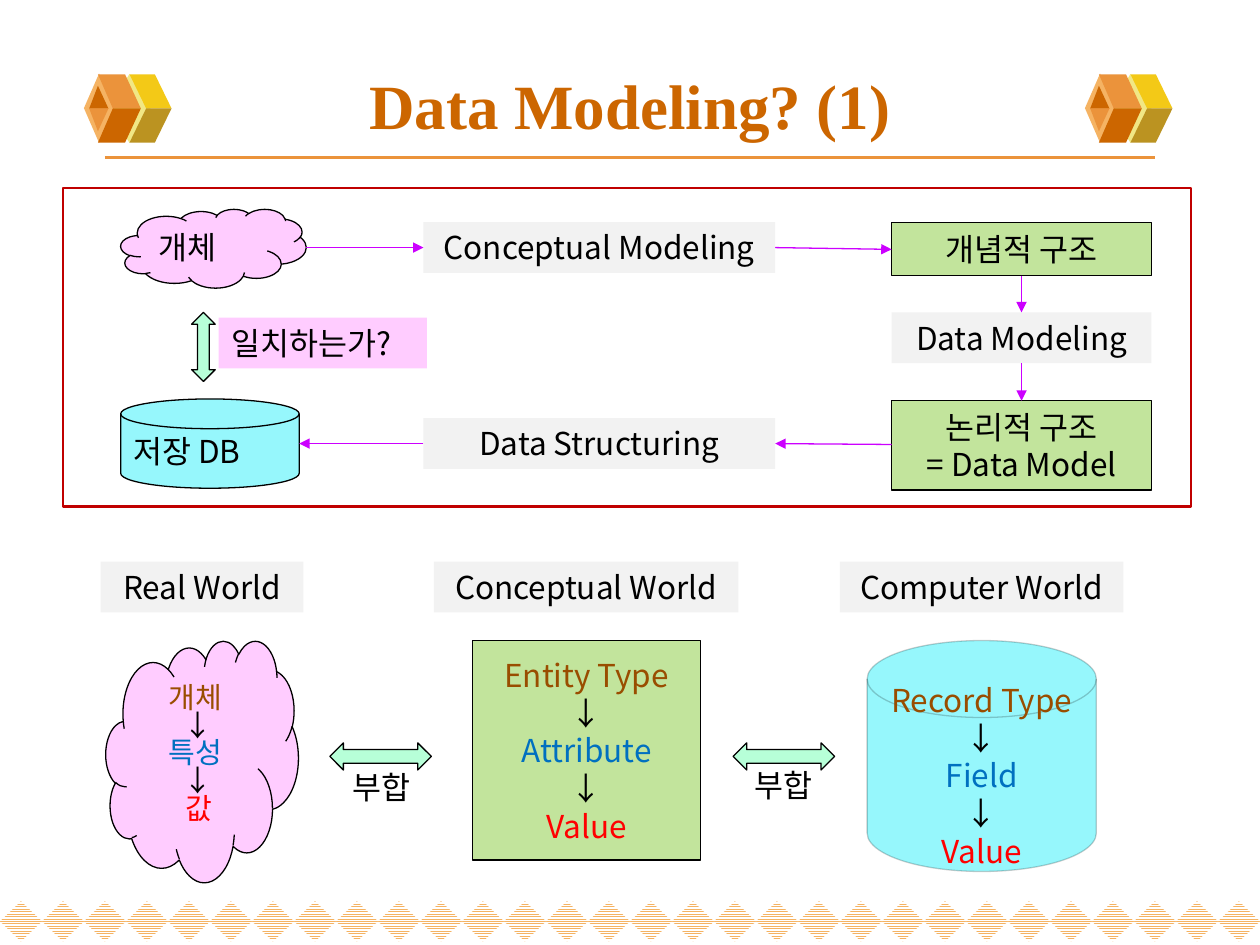
from dataclasses import dataclass
from typing import Optional

from lxml import etree
from pptx import Presentation
from pptx.dml.color import RGBColor
from pptx.enum import dml, shapes, text
from pptx.oxml import ns
from pptx.util import Pt

KIND = shapes.MSO_SHAPE
LEFT, CENTER = text.PP_ALIGN.LEFT, text.PP_ALIGN.CENTER
TOP, MIDDLE = text.MSO_ANCHOR.TOP, text.MSO_ANCHOR.MIDDLE


@dataclass(frozen=True)
class Theme:
    title_font: str = "Times New Roman"
    body_font: str = "Noto Sans CJK KR"
    title_size: float = 36
    body_size: float = 18
    cloud_size: float = 16.6
    black: str = "000000"
    brown: str = "994D00"
    blue: str = "0070C0"
    red: str = "FF0000"
    frame: str = "C00000"
    pink: str = "FFCCFF"
    green: str = "C2E49C"
    cyan: str = "96F7FC"
    mint: str = "B7FFD8"
    gray: str = "F2F2F2"
    flow: str = "CC00FF"
    amber: str = "F5B363"
    orange: str = "EB933B"
    rust: str = "CC6600"
    cream: str = "F1E785"
    yellow: str = "F3C917"
    olive: str = "BB9321"


THEME = Theme()
LEVELS = (THEME.brown, THEME.black, THEME.blue, THEME.black, THEME.red)


@dataclass(frozen=True)
class Node:
    kind: int
    box: tuple[float, float, float, float]
    fill: Optional[str] = None
    lines: tuple[str, ...] = ()
    colors: tuple[str, ...] = (THEME.black,) * 2
    edge: Optional[str] = THEME.black
    edge_width: float = 0.75
    edge_alpha: int = 100
    align: int = CENTER
    anchor: int = MIDDLE
    size: float = THEME.body_size
    spacing: float = 1.0
    font: str = THEME.body_font
    bold: bool = False


@dataclass(frozen=True)
class Facet:
    xs: tuple[float, ...]
    heights: tuple[float, ...]
    upper: str
    lower: str


def rgb(value: str) -> RGBColor:
    return RGBColor.from_string(value)


def assign(target, values: dict) -> None:
    for key, value in values.items():
        setattr(target, key, value)


def write(shape, node: Node) -> None:
    frame = shape.text_frame
    assign(frame, dict(word_wrap=True, vertical_anchor=node.anchor,
                       margin_left=Pt(7.2), margin_right=Pt(7.2),
                       margin_top=Pt(3.6), margin_bottom=Pt(3.6)))
    for index, (line, color) in enumerate(zip(node.lines, node.colors)):
        paragraph = frame.add_paragraph() if index else frame.paragraphs[0]
        assign(paragraph, dict(alignment=node.align, line_spacing=node.spacing))
        run = paragraph.add_run()
        run.text = line
        assign(run.font, dict(size=Pt(node.size), name=node.font, bold=node.bold))
        run.font.color.rgb = rgb(color)
        etree.SubElement(run.font._element, ns.qn("a:ea"), typeface=node.font)


def draw(slide, node: Node):
    shape = slide.shapes.add_shape(node.kind, *map(Pt, node.box))
    shape.shadow.inherit = False
    if node.fill:
        shape.fill.solid()
        shape.fill.fore_color.rgb = rgb(node.fill)
    else:
        shape.fill.background()
    if node.edge:
        shape.line.width = Pt(node.edge_width)
        shape.line.color.rgb = rgb(node.edge)
        if node.edge_alpha < 100:
            color = shape._element.spPr.find(".//" + ns.qn("a:ln") + "//" + ns.qn("a:srgbClr"))
            etree.SubElement(color, ns.qn("a:alpha"), val=str(node.edge_alpha * 1000))
    else:
        shape.line.fill.background()
    write(shape, node)
    return shape


def connect(slide, ends: tuple, color: str, width: float, arrow: bool) -> None:
    line = slide.shapes.add_connector(shapes.MSO_CONNECTOR.STRAIGHT, *map(Pt, ends))
    line.line.width = Pt(width)
    line.line.color.rgb = rgb(color)
    properties = line._element.spPr
    if arrow:
        etree.SubElement(properties.find(ns.qn("a:ln")), ns.qn("a:tailEnd"), type="triangle")
    etree.SubElement(properties, ns.qn("a:effectLst"))


def draw_facet(slide, facet: Facet, offset: float, axis: float) -> None:
    for side, color in ((-1, facet.upper), (1, facet.lower)):
        corners = [(Pt(x + offset), Pt(axis + side * h))
                   for x, h in zip(facet.xs, facet.heights)]
        builder = slide.shapes.build_freeform(*corners[0], scale=1.0)
        builder.add_line_segments(corners[1:], close=True)
        face = builder.convert_to_shape()
        face.shadow.inherit = False
        face.fill.solid()
        face.fill.fore_color.rgb = rgb(color)
        face.line.fill.background()


def draw_cube(slide, offset: float) -> None:
    axis = 62
    slab = (0, 0, 19.5, 19.5)
    draw(slide, Node(KIND.DIAMOND, (62 + offset, 42.3, 24, 39.4), THEME.cream, edge=None))
    draw_facet(slide, Facet((83.5, 98, 88.5, 74), slab, THEME.yellow, THEME.olive), offset, axis)
    draw(slide, Node(KIND.DIAMOND, (48 + offset, 42, 17.3, 39.6), THEME.amber, edge=None))
    draw_facet(slide, Facet((64.5, 80.5, 71.5, 56), slab, THEME.orange, THEME.rust), offset, axis)
    draw_facet(slide, Facet((56, 51, 62), (13, 0, 0), THEME.rust, THEME.orange), offset, axis)


def draw_border(slide) -> None:
    pitch = 24
    for column in range(30):
        diamond = draw(slide, Node(KIND.DIAMOND, (column * pitch, 515, pitch, 23), edge=None))
        diamond.fill.patterned()
        diamond.fill.pattern = dml.MSO_PATTERN.NARROW_HORIZONTAL
        diamond.fill.fore_color.rgb = rgb(THEME.amber)
        diamond.fill.back_color.rgb = rgb("FFFFFF")


def label(caption: str, x: float, y: float, width: float,
          fill: Optional[str] = THEME.gray, align: int = CENTER) -> Node:
    return Node(KIND.RECTANGLE, (x, y, width, 29), fill, (caption,),
                edge=None, anchor=TOP, align=align)


TITLE = Node(KIND.RECTANGLE, (36, 29, 648, 61), None, ("Data Modeling? (1)",), (THEME.rust,),
             edge=None, size=THEME.title_size, font=THEME.title_font, bold=True)
WORLDS = (
    Node(KIND.CLOUD, (60.5, 366, 110, 138), THEME.pink, ("개체", " ↓", "특성", " ↓", " 값"),
         LEVELS, size=THEME.cloud_size, spacing=0.8),
    Node(KIND.RECTANGLE, (270, 366, 130.5, 125.5), THEME.green,
         ("Entity Type", "↓", "Attribute", "↓", "Value"), LEVELS),
    Node(KIND.FLOWCHART_MAGNETIC_DISK, (495.5, 366, 131, 132), THEME.cyan,
         ("Record Type", "↓", "Field", "↓", "Value"), LEVELS, edge_alpha=20),
    Node(KIND.LEFT_RIGHT_ARROW, (188.5, 424.5, 58, 15.5), THEME.mint),
    Node(KIND.LEFT_RIGHT_ARROW, (419, 424.5, 58, 15.5), THEME.mint),
    label("Real World", 57.5, 321, 116),
    label("Conceptual World", 248, 321, 174),
    label("Computer World", 480, 321, 162),
    label("부합", 191, 435.5, 54, None),
    label("부합", 420.5, 434, 54, None),
)
PROCESS = (
    Node(KIND.CLOUD, (69, 119.5, 106, 45), THEME.pink, ("개체",), align=LEFT),
    label("Conceptual Modeling", 242, 127, 201),
    Node(KIND.RECTANGLE, (509.5, 127, 148.5, 30.5), THEME.green, ("개념적 구조",)),
    Node(KIND.RECTANGLE, (509.5, 229, 148.5, 51), THEME.green, ("논리적 구조", "= Data Model")),
    Node(KIND.FLOWCHART_MAGNETIC_DISK, (69, 228, 102, 51), THEME.cyan, ("저장 DB",), align=LEFT),
    label("Data Structuring", 242, 239, 201),
    label("Data Modeling", 509.5, 178.5, 148.5),
    Node(KIND.UP_DOWN_ARROW, (109.5, 178.5, 13.5, 39.5), THEME.mint),
    label("일치하는가?", 125, 181.5, 119, THEME.pink, LEFT),
    Node(KIND.RECTANGLE, (36, 107.5, 644.5, 182), edge=THEME.frame, edge_width=1.5),
)
FLOWS = (
    (175, 141.5, 242, 141.5),
    (443, 141.5, 509.5, 142.5),
    (583.75, 157.5, 583.75, 178.5),
    (583.75, 207.5, 583.75, 229),
    (509.5, 254, 443, 253.5),
    (242, 253.5, 171, 253.5),
)


def main() -> None:
    deck = Presentation()
    assign(deck, dict(slide_width=Pt(720), slide_height=Pt(540)))
    slide = deck.slides.add_slide(deck.slide_layouts[6])
    draw_border(slide)
    connect(slide, (60, 90, 660, 90), THEME.orange, 2.25, False)
    for offset in (0, 572):
        draw_cube(slide, offset)
    for node in (TITLE, *WORLDS, *PROCESS):
        draw(slide, node)
    for ends in FLOWS:
        connect(slide, ends, THEME.flow, 0.75, True)
    deck.save("out.pptx")


main()
